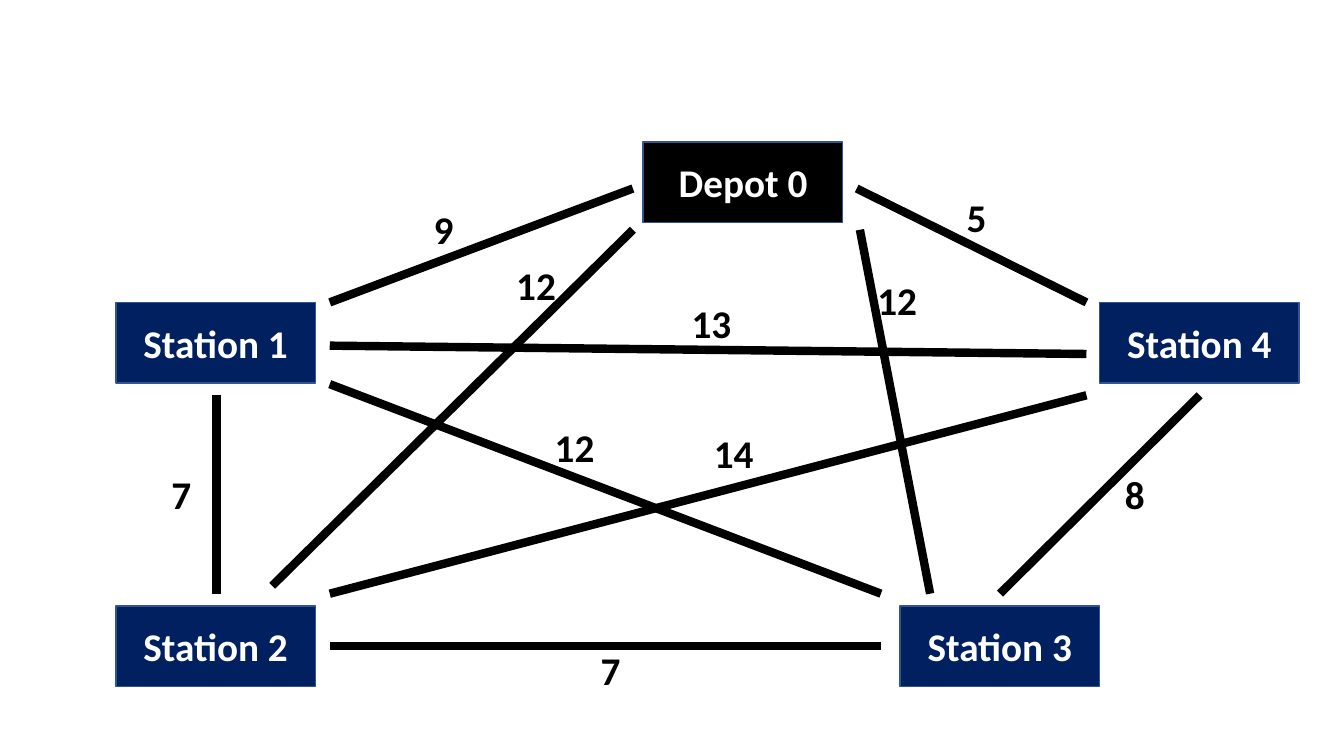
from lxml.etree import SubElement
from pptx import Presentation
from pptx.dml.color import RGBColor
from pptx.enum.shapes import MSO_CONNECTOR as Link, MSO_SHAPE as Shape
from pptx.enum.text import MSO_ANCHOR as Anchor, MSO_AUTO_SIZE as Fit, PP_ALIGN as Align
from pptx.oxml.ns import qn
from pptx.util import Cm, Pt

HUES = {"black": "000000", "navy": "002060", "edge": "325491", "white": "FFFFFF"}


def hue(name):
    return RGBColor.from_string(HUES[name])


def write(frame, text, color):
    """Fill a text frame with one bold, centred line."""
    frame.text = text
    para = frame.paragraphs[0]
    para.alignment = Align.CENTER
    font = para.runs[0].font
    font.name, font.size, font.bold = "Calibri", Pt(28), True
    font.color.rgb = hue(color)


deck = Presentation()
deck.slide_width, deck.slide_height = Cm(33.87), Cm(19.05)
slide = deck.slides.add_slide(deck.slide_layouts[6])
shapes = slide.shapes

# Stops: name, left, top, fill
stops = [
    ("Depot 0", 16.21, 3.58, "black"),
    ("Station 1", 2.92, 7.62, "navy"),
    ("Station 2", 2.92, 15.27, "navy"),
    ("Station 3", 22.68, 15.27, "navy"),
    ("Station 4", 27.71, 7.62, "navy"),
]
for name, left, top, fill in stops:
    box = shapes.add_shape(Shape.RECTANGLE, Cm(left), Cm(top), Cm(5.03), Cm(2.03))
    box.shadow.inherit = False
    box.fill.solid()
    box.fill.fore_color.rgb = hue(fill)
    box.line.color.rgb = hue("edge")
    box.line.width = Pt(1)
    box.text_frame.vertical_anchor = Anchor.MIDDLE
    write(box.text_frame, name, "white")

# Routes: cost, start, end, top centre of the cost label
routes = [
    ("9", (15.95, 4.75), (8.31, 7.62), (11.18, 5.05)),
    ("12", (15.95, 5.79), (6.86, 14.76), (13.51, 6.45)),
    ("12", (21.67, 5.79), (23.44, 14.96), (22.61, 6.83)),
    ("5", (21.59, 4.75), (27.38, 7.62), (24.61, 4.75)),
    ("7", (5.46, 14.96), (5.46, 9.96), (4.57, 11.73)),
    ("12", (22.2, 14.96), (8.31, 9.68), (14.48, 10.54)),
    ("13", (27.38, 8.92), (8.31, 8.71), (17.93, 7.42)),
    ("7", (22.2, 16.28), (8.31, 16.28), (15.39, 16.15)),
    ("14", (27.38, 9.96), (8.31, 14.96), (18.49, 10.69)),
    ("8", (25.2, 14.96), (30.23, 9.96), (28.6, 11.73)),
]
for cost, start, end, (mid, top) in routes:
    line = shapes.add_connector(Link.STRAIGHT, *map(Cm, start + end))
    line.line.color.rgb = hue("black")
    line.line.width = Pt(6)
    SubElement(line.element.spPr, qn("a:effectLst"))

    width = 0.52 + 0.5 * len(cost)
    label = shapes.add_textbox(Cm(mid - width / 2), Cm(top), Cm(width), Cm(1.45))
    label.text_frame.word_wrap = False
    label.text_frame.auto_size = Fit.SHAPE_TO_FIT_TEXT
    write(label.text_frame, cost, "black")

deck.save("out.pptx")
